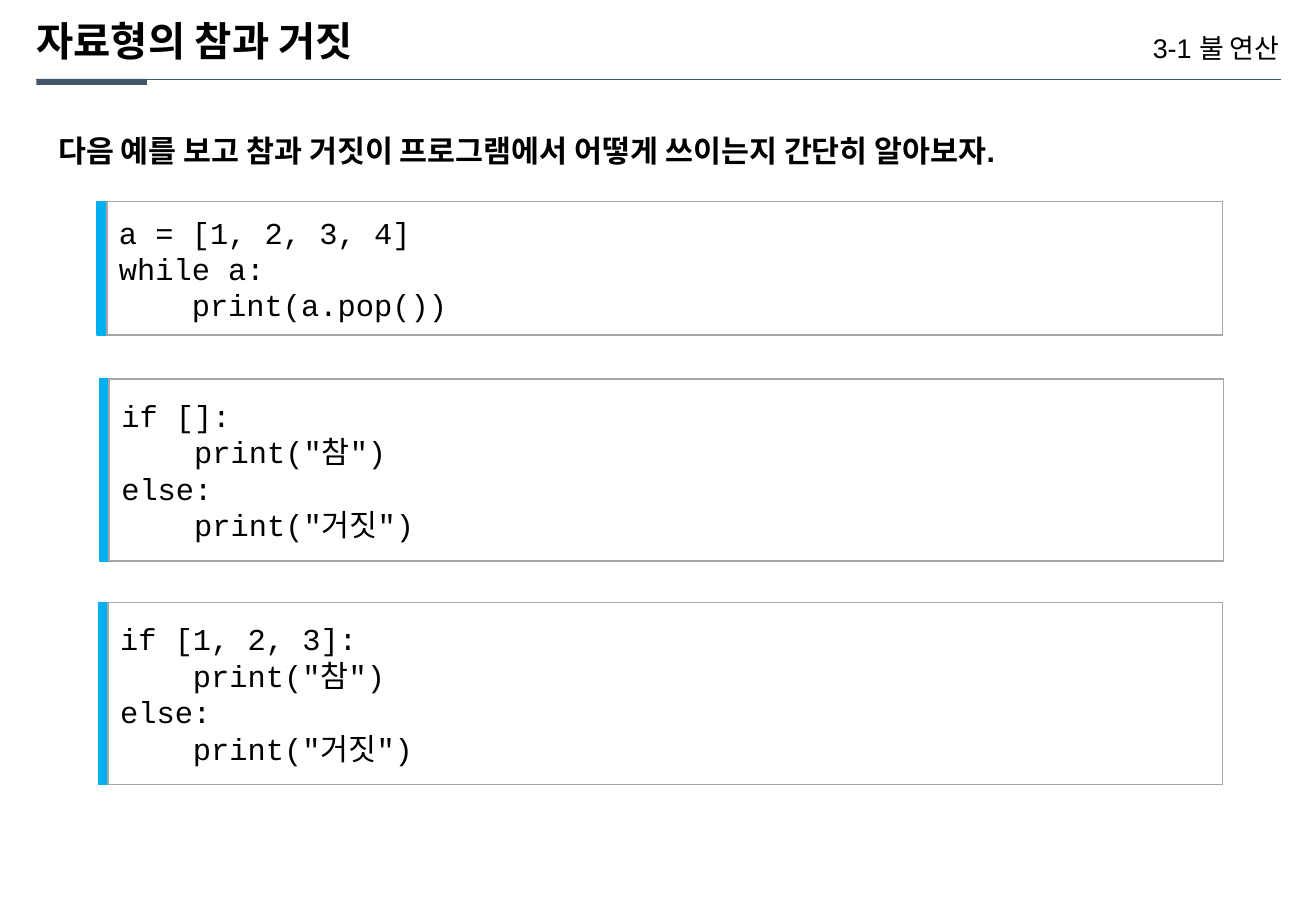
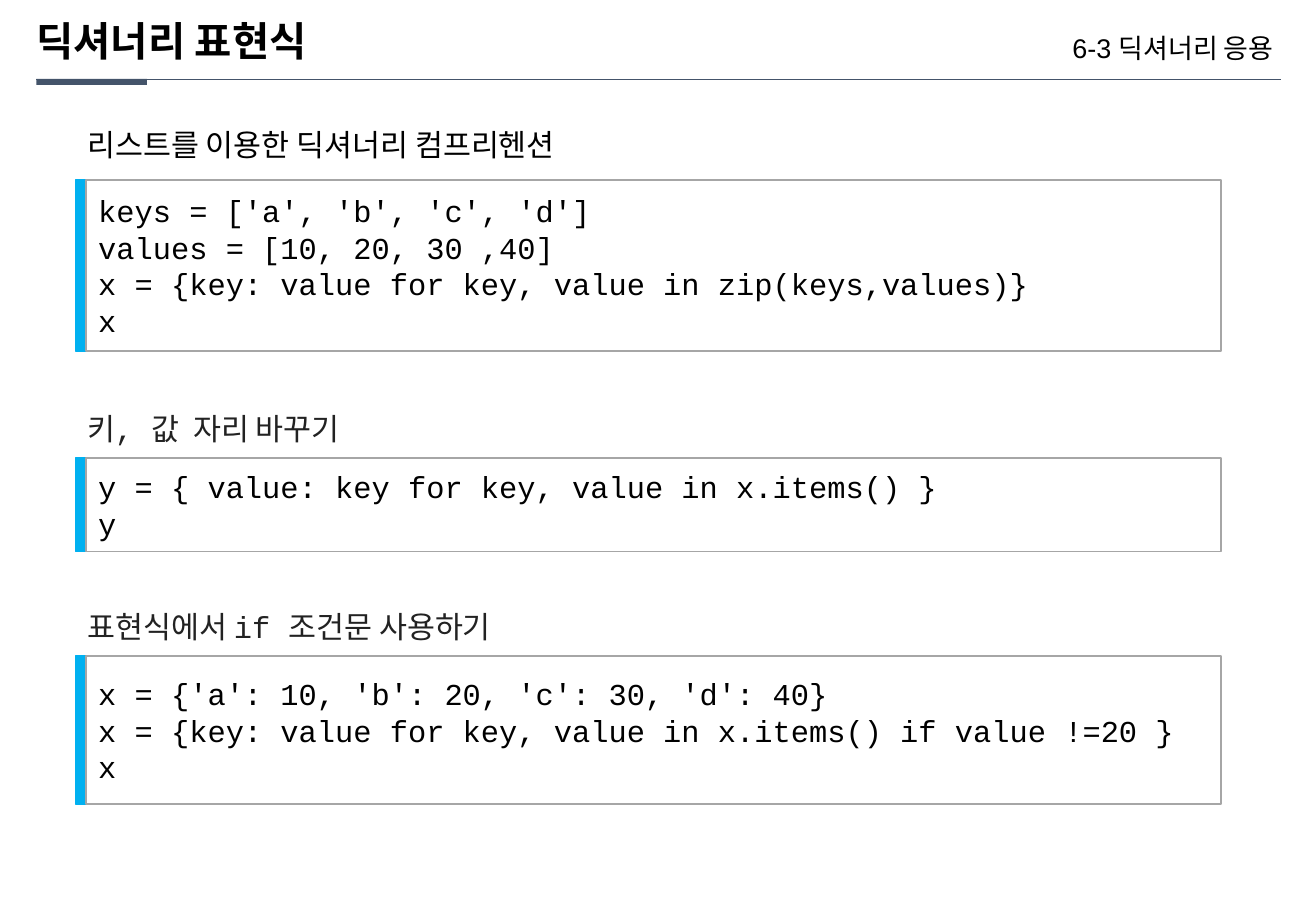
from pptx import Presentation
from pptx import util as u
from pptx.dml import color
from pptx.enum import shapes, text
from pptx.oxml import xmlchemy
from lxml import etree

NAVY, SKY, GRAY, WHITE, BLACK, DARK = "44546A", "00B0F0", "A6A6A6", "FFFFFF", "000000", "222222"
A_NS = "http://schemas.openxmlformats.org/drawingml/2006/main"
RECT = shapes.MSO_SHAPE.RECTANGLE
LEFT, RIGHT = text.PP_ALIGN.LEFT, text.PP_ALIGN.RIGHT
TOP, MIDDLE = text.MSO_ANCHOR.TOP, text.MSO_ANCHOR.MIDDLE


def rgb(value):
    return color.RGBColor.from_string(value)


def write(sp, content, fmt, inset=None, anchor=TOP, align=LEFT, spacing=1.0):
    """Fill a shape with one paragraph per line, all in one format."""
    tf = sp.text_frame
    tf.text = content
    tf.word_wrap = True
    tf.auto_size = text.MSO_AUTO_SIZE.NONE
    tf.vertical_anchor = anchor
    if inset is not None:
        for side in ("left", "top", "right", "bottom"):
            setattr(tf, f"margin_{side}", u.Inches(inset))
    for p in tf.paragraphs:
        p.alignment, p.line_spacing, p.space_before = align, spacing, u.Pt(0)
        for r in p.runs:
            for name in ("name", "size", "bold"):
                setattr(r.font, name, fmt[name])
            r.font.color.rgb = rgb(fmt["color"])


# Text formats
TITLE = dict(name="Arial", size=u.Pt(24), bold=True, color=BLACK)
SECTION = dict(name="Arial", size=u.Pt(16), bold=False, color=BLACK)
INTRO = dict(name="Arial", size=u.Pt(18), bold=True, color=BLACK)
CODE = dict(name="Courier New", size=u.Pt(18), bold=False, color=BLACK)
CAPTION = dict(CODE, color=DARK)

# Content: captions are (left, top, text, format);
# code blocks are (left, top, width, height, bar width, code)
BRANCH = 'if {}:\n    print("참")\nelse:\n    print("거짓")'
SLIDES = [
    dict(
        title="자료형의 참과 거짓",
        section="3-1 불 연산",
        captions=[(0.38, 1.04, "다음 예를 보고 참과 거짓이 프로그램에서 어떻게 쓰이는지 간단히 알아보자.", INTRO)],
        blocks=[
            (0.8, 1.66, 9.26, 1.1, 0.08, "a = [1, 2, 3, 4]\nwhile a:\n    print(a.pop())"),
            (0.82, 3.12, 9.25, 1.5, 0.08, BRANCH.format("[]")),
            (0.81, 4.96, 9.25, 1.5, 0.08, BRANCH.format("[1, 2, 3]")),
        ],
    ),
    dict(
        title="딕셔너리 표현식",
        section="6-3 딕셔너리 응용 ",
        captions=[
            (0.62, 0.99, "리스트를 이용한 딕셔너리 컴프리헨션", CODE),
            (0.62, 3.33, "키, 값  자리 바꾸기", CAPTION),
            (0.62, 4.96, "표현식에서 if 조건문 사용하기", CAPTION),
        ],
        blocks=[
            (0.62, 1.48, 9.43, 1.41, 0.09,
             "keys = ['a', 'b', 'c', 'd']\nvalues = [10, 20, 30 ,40]\n"
             "x = {key: value for key, value in zip(keys,values)}\nx"),
            (0.62, 3.77, 9.43, 0.77, 0.09,
             "y = { value: key for key, value in x.items() }\ny"),
            (0.62, 5.4, 9.43, 1.22, 0.09,
             "x = {'a': 10, 'b': 20, 'c': 30, 'd': 40}\n"
             "x = {key: value for key, value in x.items() if value !=20 }\nx"),
        ],
    ),
]

prs = Presentation()
prs.slide_width, prs.slide_height = u.Inches(10.83), u.Inches(7.5)
layout = prs.slide_layouts[2]  # a title and an unbulleted body

for page in SLIDES:
    s = prs.slides.add_slide(layout)

    # Header rule and accent
    rule = s.shapes.add_connector(shapes.MSO_CONNECTOR.STRAIGHT, u.Inches(0.3), u.Inches(0.65),
                                  u.Inches(10.54), u.Inches(0.65))
    rule.line.color.rgb = rgb(NAVY)
    rule.line.width = u.Pt(0.25)
    etree.SubElement(rule.element.spPr, f"{{{A_NS}}}effectLst")
    accent = s.shapes.add_shape(RECT, u.Inches(0.3), u.Inches(0.65), u.Inches(0.91), u.Inches(0.05))
    accent.shadow.inherit = False
    accent.fill.solid()
    accent.fill.fore_color.rgb = rgb(NAVY)
    accent.line.fill.background()

    # Title and section label
    for sp, box, content, fmt, align in (
        (s.shapes.title, (0.3, 0.18, 6.13, 0.36), page["title"], TITLE, LEFT),
        (s.placeholders[1], (6.92, 0.29, 3.61, 0.24), page["section"], SECTION, RIGHT),
    ):
        sp.left, sp.top, sp.width, sp.height = map(u.Inches, box)
        write(sp, content, fmt, inset=0, align=align, spacing=0.9)

    # Captions
    for left, top, content, fmt in page["captions"]:
        sp = s.shapes.add_textbox(u.Inches(left), u.Inches(top), u.Inches(9.57), u.Inches(0.4))
        write(sp, content, fmt)

    # Code blocks: a coloured bar joined to a framed box
    for left, top, width, height, bar, code in page["blocks"]:
        group = s.shapes.add_group_shape()
        for x, w, fill, line, content in (
            (left, bar, SKY, SKY, None),
            (left + bar, width - bar, WHITE, GRAY, code),
        ):
            sp = group.shapes.add_shape(RECT, u.Inches(x), u.Inches(top), u.Inches(w), u.Inches(height))
            sp.shadow.inherit = False
            sp.fill.solid()
            sp.fill.fore_color.rgb = rgb(fill)
            sp.line.color.rgb = rgb(line)
            sp.line.width = u.Pt(1)
            if content:
                write(sp, content, CODE, anchor=MIDDLE)

prs.save("out.pptx")
